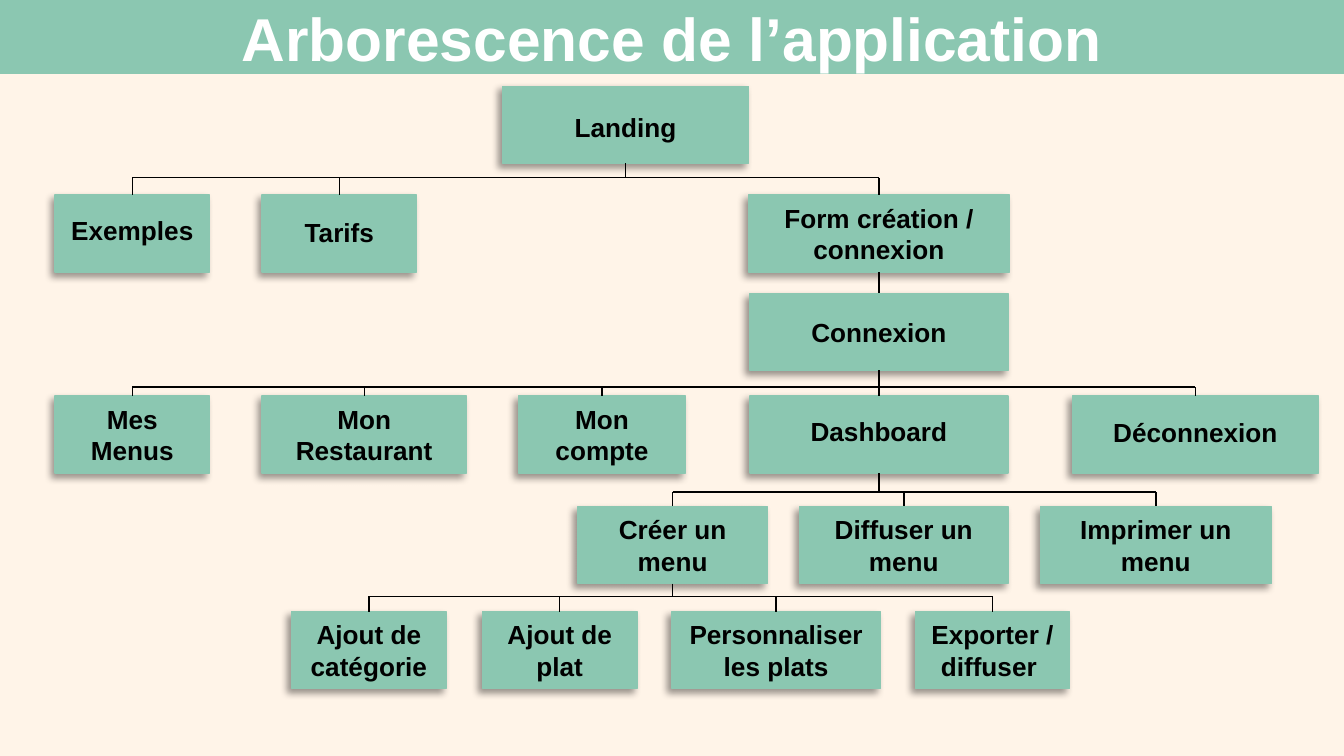
from lxml.etree import SubElement
from pptx import Presentation
from pptx.dml.color import RGBColor
from pptx.enum.shapes import MSO_CONNECTOR, MSO_SHAPE
from pptx.enum.text import MSO_ANCHOR, PP_ALIGN
from pptx.oxml.ns import qn
from pptx.util import Inches, Pt

GREEN, CREAM, BLACK, WHITE = "8BC7B1", "FFF4E8", "000000", "FFFFFF"
FONT = "Arial"
BOTTOM, TOP = 2, 0

# Grid of 100 columns by 100 rows over the slide
WIDTH, HEIGHT = Inches(10), Inches(5.625)
BOX_ROWS = 10.2

# Top row of each level: name -> (text, left column, columns, text shift in inches)
LEVELS = {
    11.4: {"landing": ("Landing", 37.4, 18.3, 0.02)},
    25.8: {
        "examples": ("Exemples", 4.1, 11.5, -0.03),
        "prices": ("Tarifs", 19.5, 11.5, -0.01),
        "form": ("Form création / connexion", 55.7, 19.4, 0),
    },
    38.8: {"login": ("Connexion", 55.8, 19.2, 0)},
    52.4: {
        "menus": ("Mes Menus", 4.1, 11.5, 0),
        "restaurant": ("Mon Restaurant", 19.5, 15.2, 0),
        "account": ("Mon compte", 38.6, 12.4, 0),
        "dashboard": ("Dashboard", 55.8, 19.2, -0.03),
        "logout": ("Déconnexion", 79.8, 18.3, -0.02),
    },
    67.0: {
        "create": ("Créer un menu", 43, 14.1, 0),
        "share": ("Diffuser un menu", 59.5, 15.5, 0),
        "print": ("Imprimer un menu", 77.4, 17.2, 0),
    },
    80.9: {
        "category": ("Ajout de catégorie", 21.7, 11.5, 0),
        "dish": ("Ajout de plat", 35.9, 11.5, 0),
        "customise": ("Personnaliser les plats", 50, 15.5, 0),
        "export": ("Exporter / diffuser ", 68.1, 11.5, 0),
    },
}

# Parent, row of the horizontal rail, children from left to right
BRANCHES = [
    ("landing", 23.5, ["examples", "prices", "form"]),
    ("form", None, ["login"]),
    ("login", 51.2, ["menus", "restaurant", "account", "dashboard", "logout"]),
    ("dashboard", 65.1, ["create", "share", "print"]),
    ("create", 78.9, ["category", "dish", "customise", "export"]),
]


def color(value):
    return RGBColor.from_string(value)


def column(count):
    return round(WIDTH * count / 100)


def row(count):
    return round(HEIGHT * count / 100)


def center(shape):
    return shape.left + shape.width // 2


def add_panel(slide, box, text, size, text_color):
    """Green rectangle with bold centred text."""
    shape = slide.shapes.add_shape(MSO_SHAPE.RECTANGLE, *box)
    shape.shadow.inherit = False
    shape.fill.solid()
    shape.fill.fore_color.rgb = color(GREEN)
    shape.line.fill.background()
    frame = shape.text_frame
    frame.word_wrap = True
    frame.vertical_anchor = MSO_ANCHOR.MIDDLE
    paragraph = frame.paragraphs[0]
    paragraph.alignment = PP_ALIGN.CENTER
    run = paragraph.add_run()
    run.text = text
    run.font.name = FONT
    run.font.size = Pt(size)
    run.font.bold = True
    run.font.color.rgb = color(text_color)
    return shape


def add_title(slide, box):
    frame = add_panel(slide, box, "Arborescence de l’application", 32.4, WHITE).text_frame
    frame.margin_top = frame.margin_bottom = Inches(0.1)


def add_page(slide, box, text, shift):
    """Outlined box of the tree with a soft shadow to the lower left."""
    shape = add_panel(slide, box, text, 14, BLACK)
    shape.line.color.rgb = color(GREEN)
    shape.line.width = Pt(0.75)
    shape.text_frame.margin_top = Inches(0.1 + shift)
    shape.text_frame.margin_bottom = Inches(0.1 - shift)
    effects = shape._element.spPr.find(qn("a:effectLst"))
    shadow = SubElement(effects, qn("a:outerShdw"), blurRad=str(Pt(4)), dist=str(Pt(3)),
                        dir="8100000", algn="bl", rotWithShape="0")
    shade = SubElement(shadow, qn("a:srgbClr"), val=BLACK)
    SubElement(shade, qn("a:alpha"), val="40000")
    return shape


def add_line(slide, start, end, parent=None, child=None):
    """Thin black line, joined to the parent's bottom and the child's top."""
    line = slide.shapes.add_connector(MSO_CONNECTOR.STRAIGHT, *start, *end)
    line.line.color.rgb = color(BLACK)
    line.line.width = Pt(0.75)
    SubElement(line._element.spPr, qn("a:effectLst"))
    if parent is not None:
        line.begin_connect(parent, BOTTOM)
    if child is not None:
        line.end_connect(child, TOP)


def add_branch(slide, parent, rail_row, children):
    start = (center(parent), parent.top + parent.height)
    aligned = [child for child in children if center(child) == center(parent)]

    # Straight down to an aligned child, otherwise down to the rail
    if aligned:
        add_line(slide, start, (center(parent), aligned[0].top), parent, aligned[0])
    else:
        add_line(slide, start, (center(parent), row(rail_row)), parent)

    # Rail and drops to the other children
    if rail_row is not None:
        rail = row(rail_row)
        add_line(slide, (center(children[0]), rail), (center(children[-1]), rail))
        for child in children:
            if child not in aligned:
                add_line(slide, (center(child), rail), (center(child), child.top), child=child)


def add_tree(slide):
    pages = {}
    for top, level in LEVELS.items():
        for name, (text, left, columns, shift) in level.items():
            box = (column(left), row(top), column(columns), row(BOX_ROWS))
            pages[name] = add_page(slide, box, text, shift)
    for parent, rail_row, children in BRANCHES:
        add_branch(slide, pages[parent], rail_row, [pages[name] for name in children])


def main():
    presentation = Presentation()
    presentation.slide_width, presentation.slide_height = WIDTH, HEIGHT
    slide = presentation.slides.add_slide(presentation.slide_layouts[6])
    slide.background.fill.solid()
    slide.background.fill.fore_color.rgb = color(CREAM)
    add_title(slide, (0, 0, WIDTH, row(9.8)))
    add_tree(slide)
    presentation.save("out.pptx")


if __name__ == "__main__":
    main()
